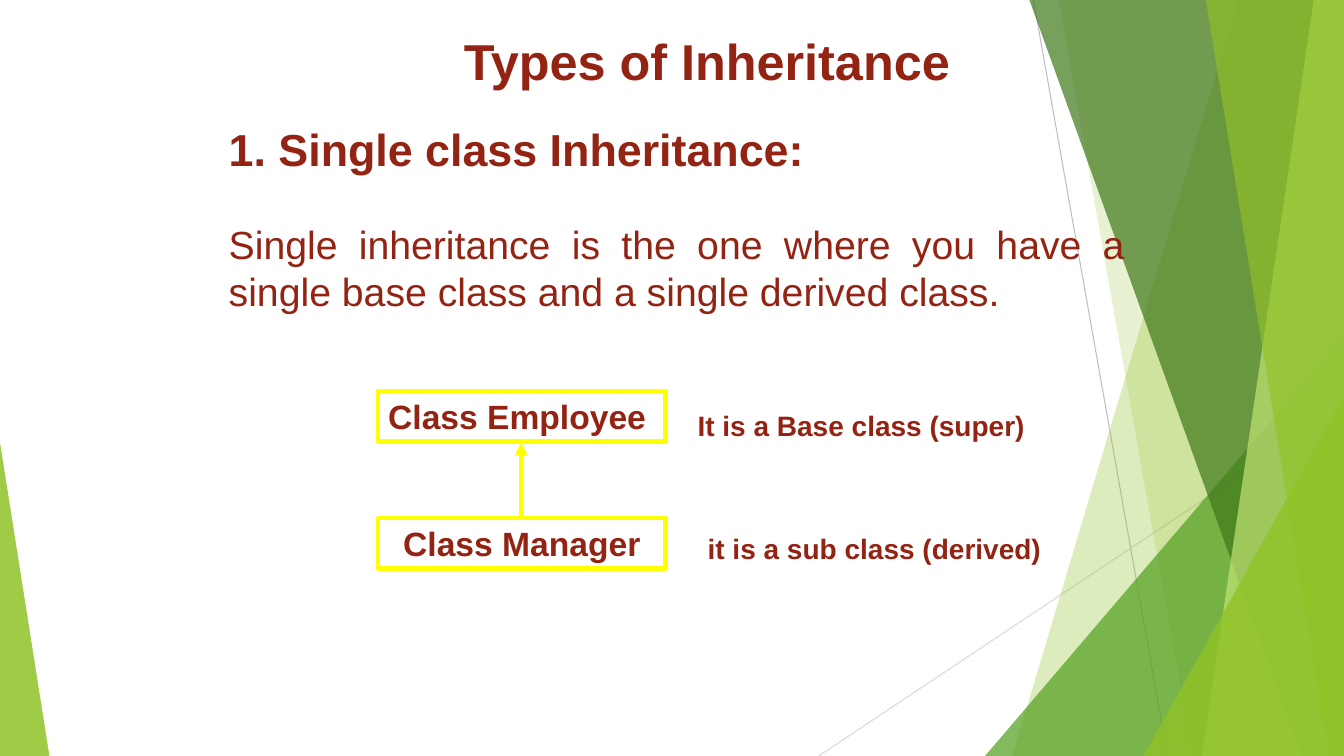
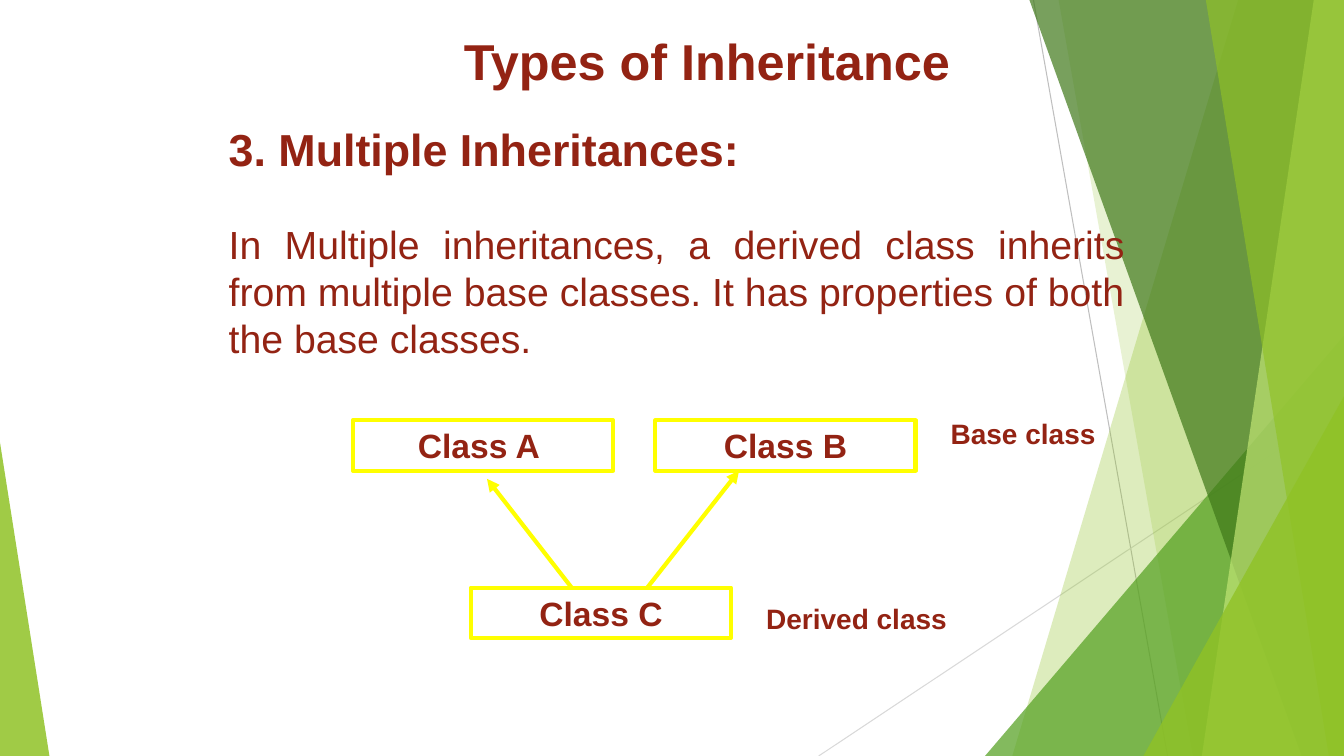
import dataclasses

import lxml.etree
import pptx
import pptx.dml.color
import pptx.enum.shapes
import pptx.enum.text
import pptx.oxml.ns
import pptx.util

Inches = pptx.util.Inches
KIND = pptx.enum.shapes.MSO_SHAPE
ALIGN = pptx.enum.text.PP_ALIGN
TOP = pptx.enum.text.MSO_ANCHOR.TOP
WIDE, HIGH = 13.33, 7.5


@dataclasses.dataclass(frozen=True)
class Theme:
    font: str = "Arial"
    text: str = "932313"
    box: str = "FFFF00"
    lime: str = "90C226"
    pale: str = "C0E474"
    leaf: str = "54A021"
    dark: str = "3F7819"
    grey: str = "BFBFBF"
    mist: str = "D9D9D9"
    title: int = 36
    head: int = 32
    body: int = 28
    label: int = 24
    note: int = 20
    thin: float = 0.75
    thick: int = 3


THEME = Theme()


# Shared helpers
def put(thing, **values):
    for key, value in values.items():
        setattr(thing, key, value)


def rgb(code):
    return pptx.dml.color.RGBColor.from_string(code)


def node(owner, tag, **values):
    return lxml.etree.SubElement(owner, pptx.oxml.ns.qn(tag), **values)


def place(shape, box):
    for key, value in zip(("left", "top", "width", "height"), box):
        setattr(shape, key, Inches(value))


def write(para, text, size, bold=True, **values):
    para.text = text
    put(para, **values)
    put(para.font, name=THEME.font, size=pptx.util.Pt(size), bold=bold)
    put(para.font.color, rgb=rgb(THEME.text))


def frame(shape):
    put(shape.text_frame, word_wrap=True, vertical_anchor=TOP)
    return shape.text_frame


def line(shapes, start, end, color, width, arrow=False):
    ends = [Inches(value) for value in (*start, *end)]
    link = shapes.add_connector(pptx.enum.shapes.MSO_CONNECTOR.STRAIGHT, *ends)
    put(link.line, width=pptx.util.Pt(width))
    put(link.line.color, rgb=rgb(color))
    props = link.element.spPr
    if arrow:
        node(props.find(pptx.oxml.ns.qn("a:ln")), "a:tailEnd", type="triangle")
    node(props, "a:effectLst")
    return link


# Green facets, drawn once and kept in the layout
def band(shapes, top, foot):
    pts = [(top, 0), (WIDE, 0), (WIDE, HIGH), (foot, HIGH)]
    first, *rest = [(Inches(x), Inches(y)) for x, y in pts]
    pen = shapes.build_freeform(*first)
    pen.add_line_segments(rest, close=True)
    return pen.convert_to_shape()


def wedge(shapes, left, top, width, peak):
    box = [Inches(value) for value in (left, top, width, HIGH - top)]
    form = shapes.add_shape(KIND.ISOSCELES_TRIANGLE, *box)
    form.adjustments[0] = peak
    return form


def tint(form, color, alpha):
    form.shadow.inherit = False
    form.fill.solid()
    form.fill.fore_color.rgb = rgb(color)
    form.line.fill.background()
    code = form.element.spPr.find(".//" + pptx.oxml.ns.qn("a:srgbClr"))
    node(code, "a:alpha", val=str(alpha * 1000))


def decor(slide):
    shapes, layout = slide.shapes, slide.slide_layout
    parts = [
        line(shapes, (10.25, 0), (11.58, HIGH), THEME.grey, THEME.thin),
        line(shapes, (WIDE, 4.03), (8.12, HIGH), THEME.mist, THEME.thin),
    ]
    facets = [
        (band(shapes, 12.28, 10.04), THEME.lime, 30),
        (band(shapes, 10.5, 11.83), THEME.lime, 20),
        (wedge(shapes, 9.77, 3.33, 3.56, 1), THEME.leaf, 72),
        (band(shapes, 10.21, 12.91), THEME.dark, 70),
        (band(shapes, 13.03, 11.92), THEME.pale, 70),
        (band(shapes, 11.96, 13.18), THEME.lime, 65),
        (wedge(shapes, 11.34, 3.93, 1.99, 1), THEME.lime, 80),
        (wedge(shapes, 0, 4.39, 0.49, 0), THEME.lime, 85),
    ]
    for facet in facets:
        tint(*facet)
        parts.append(facet[0])
    # Only the title placeholder stays in the layout
    tree = layout.shapes.element
    for holder in list(layout.placeholders)[1:]:
        tree.remove(holder.element)
    for spot, part in enumerate(parts, 2):
        tree.insert(spot, part.element)


# Title, heading and definition
def title(slide, box):
    place(slide.shapes.title, box)
    words = frame(slide.shapes.title)
    write(words.paragraphs[0], "Types of Inheritance", THEME.title,
          alignment=ALIGN.LEFT)


def lead(slide, box, head, text):
    shape = slide.shapes.add_textbox(*[Inches(value) for value in box])
    words = frame(shape)
    write(words.paragraphs[0], head, THEME.head)
    write(words.add_paragraph(), text, THEME.body, bold=False,
          alignment=ALIGN.JUSTIFY, space_before=pptx.util.Pt(32))


# Class diagram: all parts are relative to its left top corner
def chart(slide, left, top, width, boxes, arrows, notes):
    shapes = slide.shapes

    def spot(x, y):
        return left + x, top + y

    for x, y, text in boxes:
        size = [Inches(value) for value in (*spot(x, y), width, 0.5)]
        shape = shapes.add_shape(KIND.RECTANGLE, *size)
        shape.shadow.inherit = False
        shape.fill.background()
        put(shape.line, width=pptx.util.Pt(THEME.thick))
        put(shape.line.color, rgb=rgb(THEME.box))
        write(frame(shape).paragraphs[0], text, THEME.label,
              alignment=ALIGN.CENTER)
    for start, end in arrows:
        line(shapes, spot(*start), spot(*end), THEME.box, THEME.thick, True)
    for x, y, span, text in notes:
        size = [Inches(value) for value in (*spot(x, y), span, 0.44)]
        words = frame(shapes.add_textbox(*size))
        write(words.paragraphs[0], text, THEME.note)


PAGES = [
    dict(
        head="1. Single class Inheritance:",
        text="Single inheritance is the one where you have a single base "
             "class and a single derived class.",
        chart=dict(
            left=3.75, top=3.88, width=2.85,
            boxes=[(0, 0, "Class Employee "), (0, 1.26, "Class Manager")],
            arrows=[((1.42, 1.26), (1.42, 0.51))],
            notes=[(3.07, 0.12, 3.6, "It is a Base class (super)"),
                   (3.17, 1.34, 3.7, "it is a sub class (derived)")],
        ),
    ),
    dict(
        head="3. Multiple Inheritances:",
        text="In Multiple inheritances, a derived class inherits from "
             "multiple base classes. It has properties of both the base "
             "classes.",
        chart=dict(
            left=3.5, top=4.17, width=2.58,
            boxes=[(0, 0, "Class A "), (3, 0, "Class B"),
                   (1.17, 1.66, "Class C")],
            arrows=[((2.92, 1.66), (3.83, 0.5)), ((2.17, 1.66), (1.33, 0.58))],
            notes=[(5.83, -0.09, 1.8, "Base class"),
                   (4, 1.75, 2.1, "Derived class")],
        ),
    ),
]


def main():
    deck = pptx.Presentation()
    put(deck, slide_width=Inches(WIDE), slide_height=Inches(HIGH))
    layout = deck.slide_layouts[5]
    for count, page in enumerate(PAGES):
        slide = deck.slides.add_slide(layout)
        if count == 0:
            decor(slide)
        title(slide, (4.5, 0.25, 5.2, 0.71))
        lead(slide, (2.17, 1.16, 9.08, 2.5), page["head"], page["text"])
        chart(slide, **page["chart"])
    deck.save("out.pptx")


if __name__ == "__main__":
    main()
